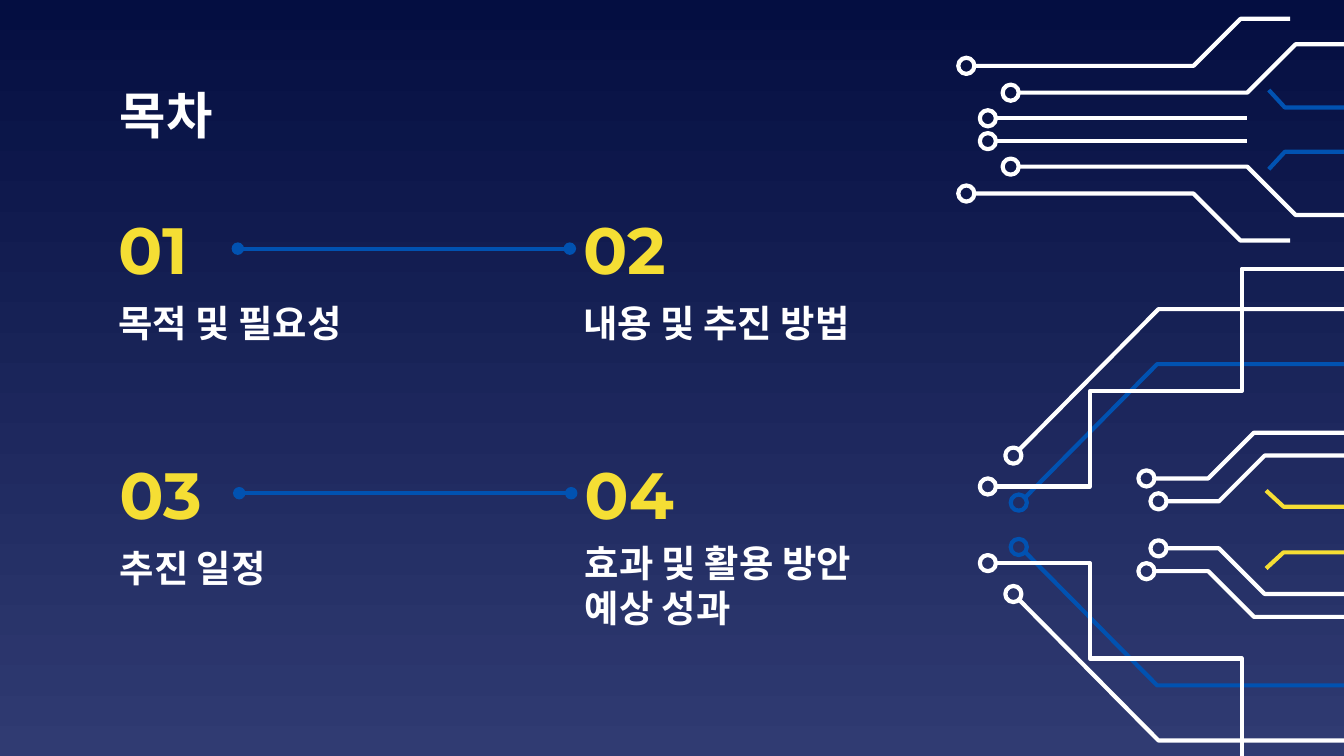
from typing import NamedTuple, Optional

from lxml.etree import SubElement
from pptx import Presentation
from pptx.dml.color import RGBColor
from pptx.enum.shapes import MSO_CONNECTOR, MSO_SHAPE
from pptx.enum.text import MSO_ANCHOR, MSO_AUTO_SIZE, PP_ALIGN
from pptx.oxml.ns import qn
from pptx.util import Inches, Pt

COLORS = {
    "top": "040E41",
    "bottom": "303B72",
    "white": "FFFFFF",
    "yellow": "F5DE34",
    "blue": "0152B1",
}
KOREAN, LATIN = "Noto Sans CJK KR", "Montserrat"
LINE_WIDTH = Pt(2.25)
RING = 0.12


class Trace(NamedTuple):
    color: str
    points: list
    ring: Optional[tuple] = None


class Circuit(NamedTuple):
    mirror_sum: float  # upper y + lower y of each mirrored pair
    traces: list


class Item(NamedTuple):
    number: str
    label: str
    left: float
    top: float
    width: float = 2.41
    height: float = 0.52


CIRCUITS = [
    Circuit(1.93, [
        Trace("white", [(7.25, 0.49), (8.88, 0.49), (9.23, 0.14), (9.6, 0.14)], (7.19, 0.49)),
        Trace("white", [(7.58, 0.69), (9.28, 0.69), (9.64, 0.33), (10.25, 0.33)], (7.52, 0.69)),
        Trace("white", [(7.41, 0.88), (9.28, 0.88)], (7.35, 0.88)),
        Trace("blue", [(9.44, 0.67), (9.56, 0.8), (10.13, 0.8)]),
    ]),
    Circuit(7.81, [
        Trace("blue", [(7.62, 3.71), (8.61, 2.71), (10.19, 2.71)], (7.58, 3.74)),
        Trace("white", [(7.41, 3.62), (8.11, 3.62), (8.11, 2.91), (9.24, 2.91),
                        (9.24, 2), (10.2, 2)], (7.35, 3.62)),
        Trace("white", [(7.58, 3.35), (8.62, 2.3), (10.2, 2.3)], (7.54, 3.39)),
        Trace("white", [(8.68, 3.56), (8.99, 3.56), (9.33, 3.22), (10.2, 3.22)], (8.53, 3.56))
        ._replace(points=[(8.59, 3.56), (8.99, 3.56), (9.33, 3.22), (10.2, 3.22)]),
        Trace("white", [(8.68, 3.73), (9.07, 3.73), (9.41, 3.39), (10.2, 3.39)], (8.62, 3.73)),
    ]),
    Circuit(7.88, [Trace("yellow", [(9.42, 3.65), (9.55, 3.77), (10.11, 3.77)])]),
]

ITEMS = [
    Item("01", "목적 및 필요성", 0.78, 1.56),
    Item("02", "내용 및 추진 방법", 4.24, 1.56),
    Item("03", "추진 일정", 0.79, 3.38),
    Item("04", "효과 및 활용 방안\n예상 성과", 4.25, 3.38, 3.01, 0.79),
]


def rgb(name: str) -> RGBColor:
    return RGBColor.from_string(COLORS[name])


def outline(shape, color: str) -> None:
    shape.fill.background()
    shape.shadow.inherit = False
    shape.line.color.rgb = rgb(color)
    shape.line.width = LINE_WIDTH


def draw_trace(s, trace: Trace) -> None:
    points = [(Inches(x), Inches(y)) for x, y in trace.points]
    builder = s.shapes.build_freeform(*points[0])
    builder.add_line_segments(points[1:], close=False)
    outline(builder.convert_to_shape(), trace.color)
    if trace.ring:
        x, y = trace.ring
        ring = s.shapes.add_shape(MSO_SHAPE.OVAL, Inches(x - RING / 2), Inches(y - RING / 2),
                                  Inches(RING), Inches(RING))
        outline(ring, trace.color)


def mirrored(trace: Trace, total: float) -> Trace:
    def flip(point: tuple) -> tuple:
        return point[0], total - point[1]

    return Trace(trace.color, [flip(point) for point in trace.points],
                 flip(trace.ring) if trace.ring else None)


def write(sp, text: str, box: tuple, size: float, font: str, color: str) -> None:
    sp.left, sp.top, sp.width, sp.height = (Inches(v) for v in box)
    tf = sp.text_frame
    tf.word_wrap = True
    tf.auto_size = MSO_AUTO_SIZE.NONE
    tf.vertical_anchor = MSO_ANCHOR.MIDDLE
    tf.margin_left = tf.margin_right = tf.margin_top = tf.margin_bottom = Inches(0.1)
    p = tf.paragraphs[0]
    p.text = text
    p.alignment = PP_ALIGN.LEFT
    p.space_before = Pt(0)
    for r in p.runs:
        r.font.size = Pt(size)
        r.font.bold = True
        r.font.name = font
        r.font.color.rgb = rgb(color)
        SubElement(r._r.get_or_add_rPr(), qn("a:ea")).set("typeface", font)


def draw_item(s, body, item: Item):
    """Write the label and its number; return the number box."""
    write(body, item.label, (item.left, item.top + 0.58, item.width, item.height),
          20, KOREAN, "white")
    p = body.text_frame.paragraphs[0]
    p.line_spacing = Pt(24)
    pPr = p._p.get_or_add_pPr()
    pPr.set("marL", "0")
    pPr.set("indent", "0")
    SubElement(pPr, qn("a:buNone"))
    number = s.shapes.add_textbox(0, 0, 0, 0)
    write(number, item.number, (item.left, item.top, 0.99, 0.58), 35, LATIN, "yellow")
    return number


def connect(s, first, second) -> None:
    line = s.shapes.add_connector(MSO_CONNECTOR.STRAIGHT, 0, 0, 0, 0)
    line.begin_connect(first, 3)
    line.end_connect(second, 1)
    line.line.color.rgb = rgb("blue")
    line.line.width = LINE_WIDTH
    spPr = line._element.spPr
    for end in ("a:headEnd", "a:tailEnd"):
        SubElement(spPr.find(qn("a:ln")), qn(end)).set("type", "oval")
    SubElement(spPr, qn("a:effectLst"))


def main() -> None:
    prs = Presentation()
    prs.slide_width = Inches(10)
    prs.slide_height = prs.slide_width * 9 // 16
    s = prs.slides.add_slide(prs.slide_layouts.get_by_name("Comparison"))

    # Background gradient, dark at the top
    fill = s.background.fill
    fill.gradient()
    fill.gradient_angle = 270
    for stop, position, color in zip(fill.gradient_stops, (0, 1), ("top", "bottom")):
        stop.position = position
        stop.color.rgb = rgb(color)

    # Circuit traces, each with its mirror
    for circuit in CIRCUITS:
        for trace in circuit.traces:
            draw_trace(s, trace)
            draw_trace(s, mirrored(trace, circuit.mirror_sum))

    # Title and contents
    write(s.shapes.title, "목차", (0.79, 0.59, 5.87, 0.52), 27, KOREAN, "white")
    bodies = [sp for sp in s.placeholders if sp.placeholder_format.idx > 0]
    numbers = [draw_item(s, body, item) for body, item in zip(bodies, ITEMS)]

    # Links between the numbers of a row
    for first, second in zip(numbers[::2], numbers[1::2]):
        connect(s, first, second)

    prs.save("out.pptx")


if __name__ == "__main__":
    main()
